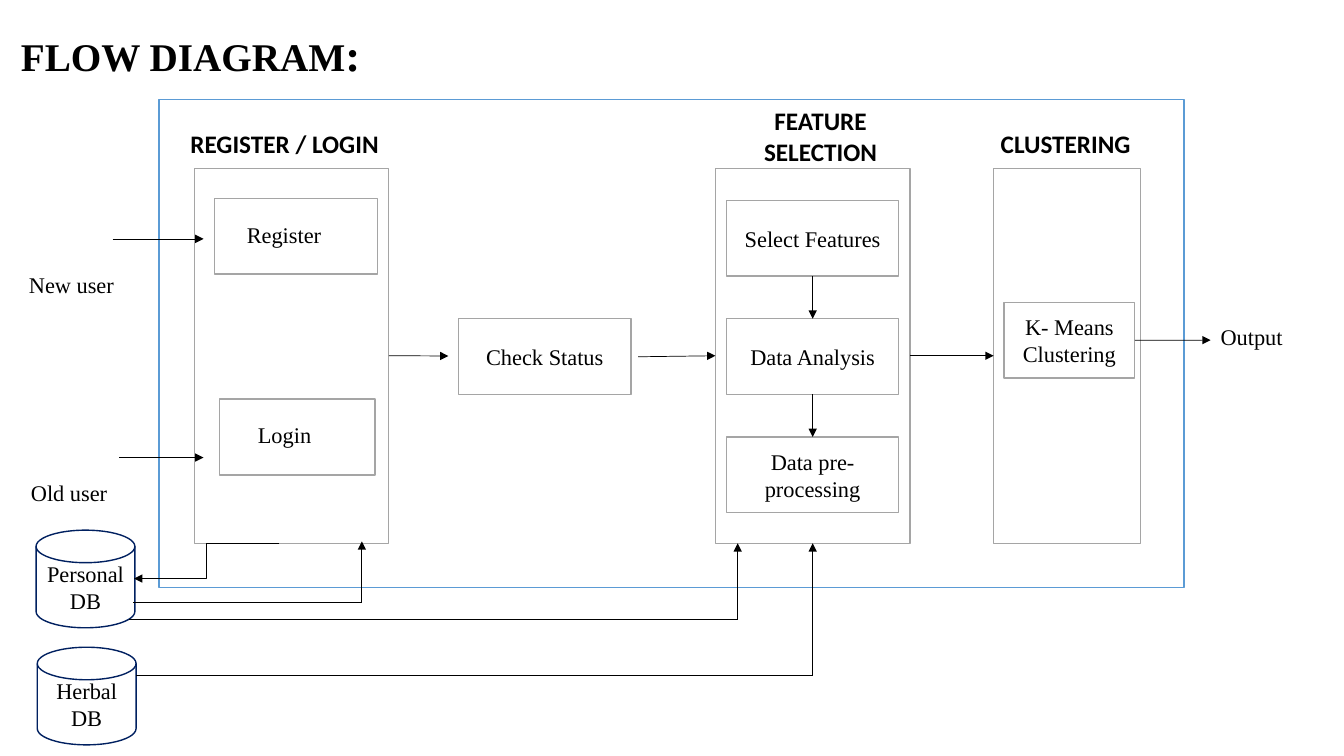
"""Build the flow diagram slide for the user login, feature selection and clustering stages."""
from dataclasses import dataclass

import pptx
import pptx.dml.color
import pptx.enum.shapes
import pptx.enum.text
import pptx.oxml.ns
import pptx.util
from lxml import etree

Cm = pptx.util.Cm
Pt = pptx.util.Pt
RGB = pptx.dml.color.RGBColor
ALIGN = pptx.enum.text.PP_ALIGN
SHAPE = pptx.enum.shapes.MSO_SHAPE
CONNECTOR = pptx.enum.shapes.MSO_CONNECTOR


@dataclass
class Theme:
    ink: RGB = RGB(0x00, 0x00, 0x00)
    paper: RGB = RGB(0xFF, 0xFF, 0xFF)
    frame: RGB = RGB(0x5B, 0x9B, 0xD5)
    box: RGB = RGB(0xA5, 0xA5, 0xA5)
    database: RGB = RGB(0x00, 0x20, 0x60)
    serif: str = "Times New Roman"
    sans: str = "Calibri"
    body: Pt = Pt(16)
    heading: Pt = Pt(18)
    title: Pt = Pt(28)
    colon: Pt = Pt(32)
    outline: Pt = Pt(1)
    arrow: Pt = Pt(0.5)


theme = Theme()
deck = pptx.Presentation()
deck.slide_width, deck.slide_height = Cm(33.87), Cm(19.05)
page = deck.slides.add_slide(deck.slide_layouts[6])


def add_box(kind, place, color, text=""):
    box = page.shapes.add_shape(kind, *map(Cm, place))
    box.shadow.inherit = False
    box.fill.solid()
    box.fill.fore_color.rgb = theme.paper
    box.line.color.rgb = color
    box.line.width = theme.outline
    if text:
        frame = box.text_frame
        frame.word_wrap = True
        frame.margin_left = frame.margin_right = Cm(0.1)
        frame.vertical_anchor = pptx.enum.text.MSO_ANCHOR.MIDDLE
        para = frame.paragraphs[0]
        para.text = text
        para.alignment = ALIGN.CENTER
        para.font.name, para.font.size = theme.serif, theme.body
        para.font.color.rgb = theme.ink
    return box


def add_label(place, text, font, size, bold=False, alignment=ALIGN.LEFT):
    label = page.shapes.add_textbox(*map(Cm, place))
    label.text_frame.word_wrap = True
    label.text_frame.auto_size = pptx.enum.text.MSO_AUTO_SIZE.SHAPE_TO_FIT_TEXT
    para = label.text_frame.paragraphs[0]
    para.alignment = alignment
    para.font.name, para.font.size, para.font.bold = font, size, bold
    para.font.color.rgb = theme.ink
    span = para.add_run()
    span.text = text
    return para


add_box(SHAPE.RECTANGLE, (4.01, 2.51, 25.83, 12.29), theme.frame)

panel_top, panel_height = 4.24, 9.45
login_panel, feature_panel, cluster_panel = [
    add_box(SHAPE.RECTANGLE, (left, panel_top, width, panel_height), theme.box)
    for left, width in ((4.9, 4.9), (18.03, 4.9), (25.04, 3.71))
]

step_height = 1.91
for left, top, width in ((5.41, 5, 4.11), (5.54, 10.06, 3.91)):
    add_box(SHAPE.RECTANGLE, (left, top, width, step_height), theme.box)
add_box(SHAPE.RECTANGLE, (11.56, 8.03, 4.34, step_height), theme.box, "Check Status")
k_means = add_box(SHAPE.RECTANGLE, (25.3, 7.62, 3.3, step_height), theme.box, "K- Means Clustering")
select_features, data_analysis, data_cleaning = [
    add_box(SHAPE.RECTANGLE, (18.31, 5.05 + 2.98 * row, 4.34, step_height), theme.box, text)
    for row, text in enumerate(("Select Features", "Data Analysis", "Data pre-processing"))
]

for left, top, text in ((0.91, 13.36, "Personal DB"), (0.94, 16.31, "Herbal DB")):
    add_box(SHAPE.FLOWCHART_MAGNETIC_DISK, (left, top, 2.49, 2.46), theme.database, text)

title = add_label((0.28, 0.56, 10.64, 2.31), "FLOW DIAGRAM", theme.serif, theme.title, True)
colon = title.add_run()
colon.text = ":"
colon.font.size = theme.colon

for left, top, width, text in (
    (5.97, 5.44, 2.84, "Register"),
    (6.25, 10.49, 2.84, "Login"),
    (30.51, 8.03, 2.74, "Output"),
    (0.48, 6.71, 3.2, "New user"),
    (0.53, 11.96, 3.2, "Old user"),
):
    add_label((left, top, width, 0.94), text, theme.serif, theme.body)

for place, text, alignment in (
    ((4.55, 3.1, 5.41, 1.02), "REGISTER / LOGIN", ALIGN.LEFT),
    ((18.85, 2.54, 3.66, 1.8), "FEATURE SELECTION", ALIGN.CENTER),
    ((24.97, 3.1, 4.45, 1.02), "CLUSTERING", ALIGN.LEFT),
):
    add_label(place, text, theme.sans, theme.heading, True, alignment)

straight, elbow = CONNECTOR.STRAIGHT, CONNECTOR.ELBOW
flows = (
    (straight, (20.48, 6.96), (20.48, 8.03), True, (select_features, 2), (data_analysis, 0)),
    (straight, (20.48, 9.94), (20.48, 11.01), True, (data_analysis, 2), (data_cleaning, 0)),
    (straight, (9.8, 8.97), (11.3, 8.97), True, (login_panel, 3), None),
    (straight, (16.08, 8.99), (18.03, 8.97), True, None, (feature_panel, 1)),
    (straight, (22.93, 8.97), (25.04, 8.97), True, (feature_panel, 3), (cluster_panel, 1)),
    (straight, (28.6, 8.57), (30.51, 8.57), True, (k_means, 3), None),
    (straight, (2.84, 6.02), (5.13, 6.02), True, None, None),
    (straight, (3, 11.53), (5.13, 11.53), True, None, None),
    (elbow, (7.04, 13.69), (3.38, 14.58), True, None, None),
    (straight, (9.12, 15.19), (3.35, 15.19), False, None, None),
    (straight, (9.12, 15.19), (9.12, 13.64), True, None, None),
    (straight, (18.59, 15.6), (3.25, 15.6), False, None, None),
    (straight, (18.59, 15.6), (18.59, 13.69), True, None, None),
    (straight, (20.48, 17.02), (3.43, 17.02), False, None, None),
    (straight, (20.48, 17.02), (20.48, 13.69), True, None, (feature_panel, 2)),
)
for kind, start, end, pointed, source, target in flows:
    flow = page.shapes.add_connector(kind, *map(Cm, start + end))
    if source:
        flow.begin_connect(*source)
    if target:
        flow.end_connect(*target)
    flow.line.color.rgb = theme.ink
    flow.line.width = theme.arrow
    if pointed:
        outline = flow.line._get_or_add_ln()
        etree.SubElement(outline, pptx.oxml.ns.qn("a:tailEnd"), type="triangle")
    etree.SubElement(flow._element.spPr, pptx.oxml.ns.qn("a:effectLst"))

deck.save("out.pptx")
